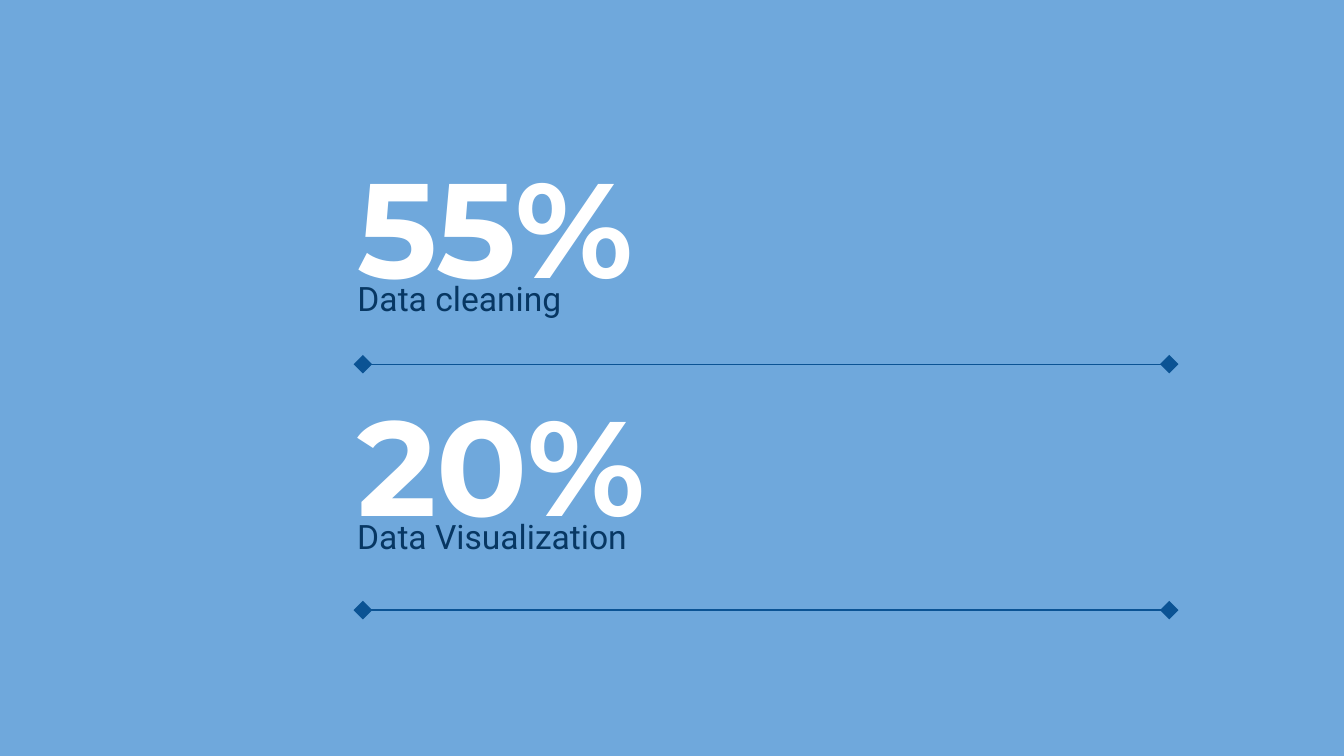
from lxml import etree
from pptx import Presentation
from pptx.dml.color import RGBColor
from pptx.enum.shapes import MSO_CONNECTOR
from pptx.enum.text import MSO_ANCHOR, MSO_AUTO_SIZE, PP_ALIGN
from pptx.oxml.ns import qn
from pptx.util import Inches, Pt

STRAIGHT = MSO_CONNECTOR.STRAIGHT
TOP, LEFT, NO_FIT = MSO_ANCHOR.TOP, PP_ALIGN.LEFT, MSO_AUTO_SIZE.NONE

COLORS = {"background": "6FA8DC", "share": "FFFFFF", "task": "073763", "rule": "0B5394"}


def write_text(box, text, top, height, font, size, color, bold):
    box.left, box.top = Inches(2.56), Inches(top)
    box.width, box.height = Inches(6.47), Inches(height)
    frame = box.text_frame
    frame.text = text
    frame.word_wrap = True
    frame.auto_size = NO_FIT
    frame.vertical_anchor = TOP
    frame.margin_left = frame.margin_right = Inches(0.1)
    frame.margin_top = frame.margin_bottom = Inches(0.1)
    paragraph = frame.paragraphs[0]
    paragraph.alignment = LEFT
    paragraph.space_before = Pt(0)
    run_font = paragraph.runs[0].font
    run_font.name, run_font.size, run_font.bold = font, Pt(size), bold
    run_font.color.rgb = RGBColor.from_string(COLORS[color])


# Widescreen slide, 16:9
prs = Presentation()
prs.slide_width = Inches(10)
prs.slide_height = prs.slide_width * 9 // 16
slide = prs.slides.add_slide(prs.slide_layouts[0])
shapes = slide.shapes

# Background
slide.background.fill.solid()
slide.background.fill.fore_color.rgb = RGBColor.from_string(COLORS["background"])

# Shares and their tasks: the first pair uses the placeholders
share_boxes = [shapes.title, shapes.add_textbox(0, 0, 0, 0)]
task_boxes = [slide.placeholders[1], shapes.add_textbox(0, 0, 0, 0)]
figures = [("55%", "Data cleaning", 0.97), ("20%", "Data Visualization", 2.74)]
for (share, task, top), share_box, task_box in zip(figures, share_boxes, task_boxes):
    write_text(share_box, share, top, 0.98, "Montserrat", 72, "share", True)
    write_text(task_box, task, top + 1, 0.51, "Roboto", 18, "task", False)

# Rules with a large diamond at each end
for y in (2.71, 4.54):
    rule = shapes.add_connector(STRAIGHT, Inches(2.7), Inches(y), Inches(8.7), Inches(y))
    rule.line.color.rgb = RGBColor.from_string(COLORS["rule"])
    rule.line.width = Pt(0.75)
    line = rule.line._get_or_add_ln()
    for end in ("a:headEnd", "a:tailEnd"):
        etree.SubElement(line, qn(end), type="diamond", w="lg", len="lg")
    etree.SubElement(rule._element.spPr, qn("a:effectLst"))

prs.save("out.pptx")
